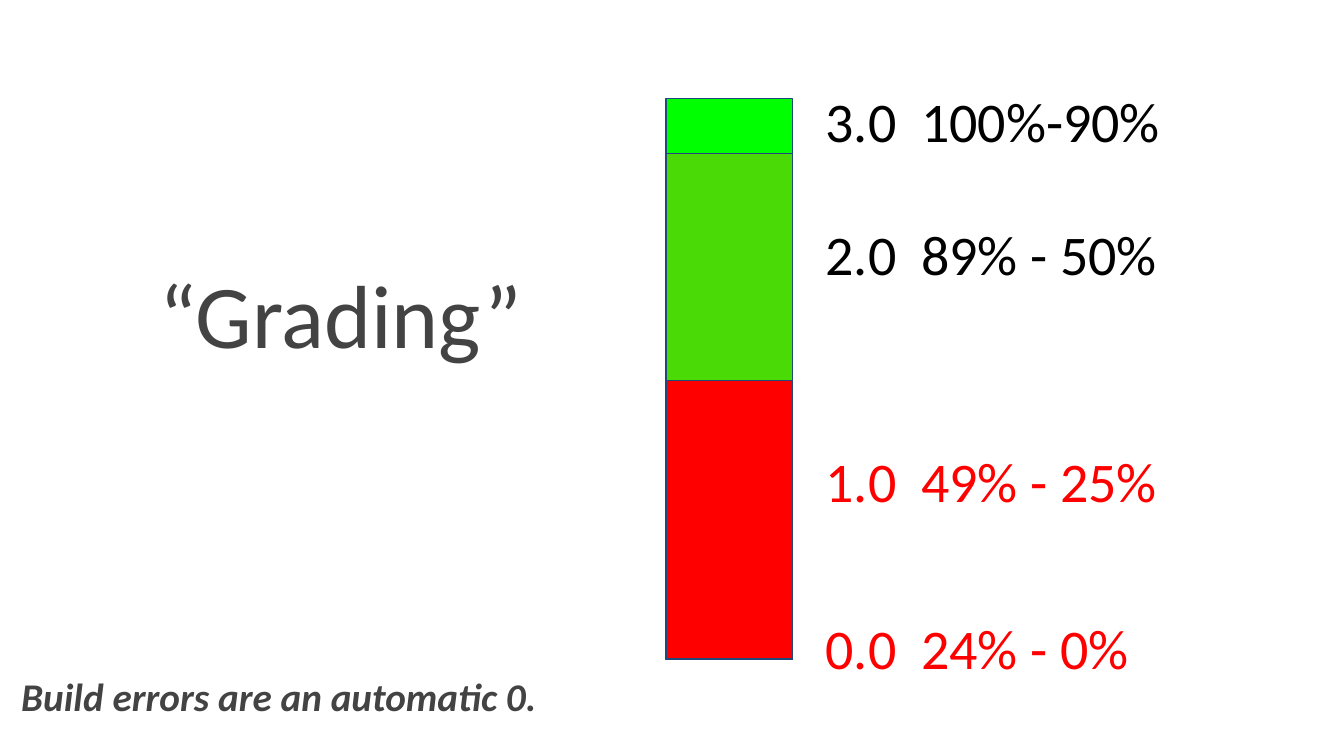
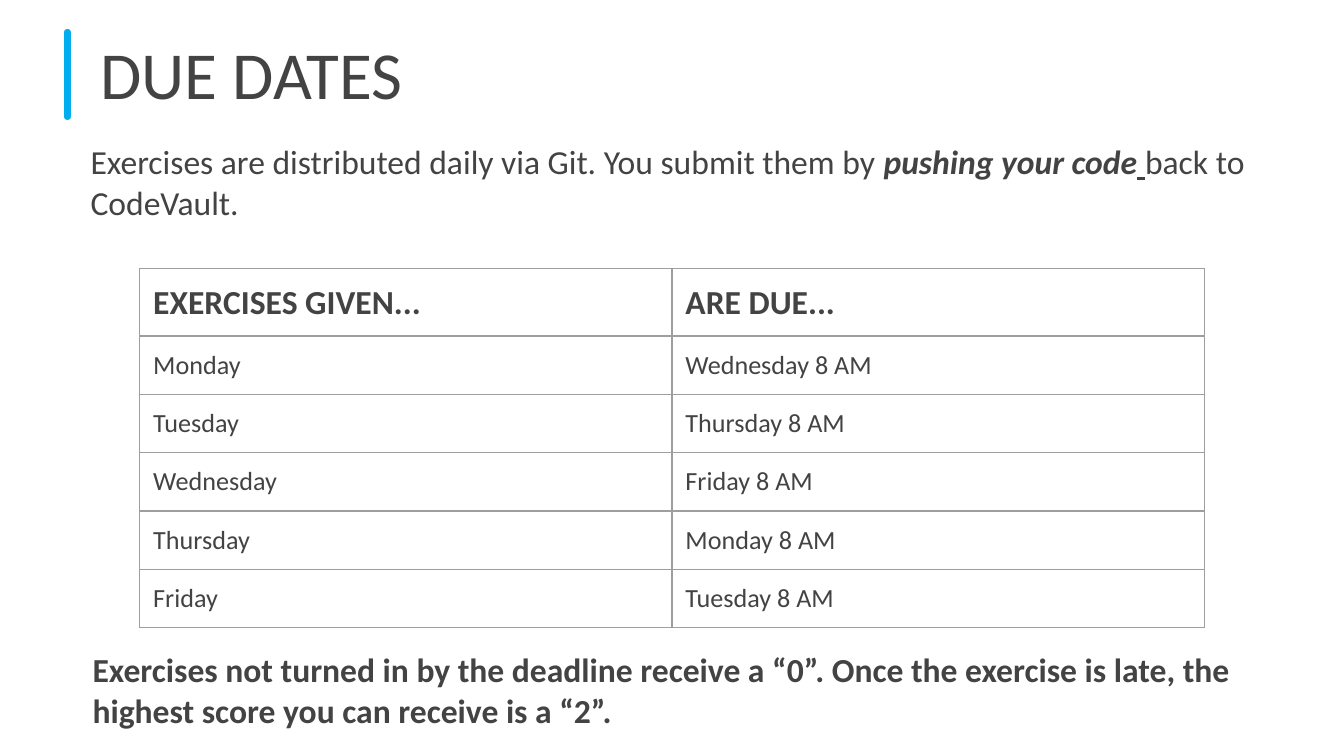
from lxml.etree import SubElement
from pptx import Presentation
from pptx.dml.color import RGBColor
from pptx.enum.shapes import MSO_SHAPE as SHAPE
from pptx.enum.text import MSO_ANCHOR as ANCHOR
from pptx.oxml import parse_xml
from pptx.oxml.ns import nsdecls, qn
from pptx.util import Emu, Pt

PX = 4572  # 200 px to the inch
SLIDE_SIZE = 2000, 1125
INSET = 20
GREY, BLACK, RED, CYAN = "434343", "000000", "FF0000", "00ADEE"
NAVY, BORDER = "1F497D", "9E9E9E"
BODY = {"name": "Calibri", "size": 18, "color": GREY}
STRONG = BODY | {"bold": True}
CELL = BODY | {"size": 14}
GRADE = BODY | {"size": 30}

# Slide 1: every band reaches down to the bottom of the bar
BAR_LEFT, BAR_WIDTH, BAR_BOTTOM = 991, 188, 981
BANDS = [(147, "00FF00"), (228, "4ADB07"), (566, RED)]
GRADES = [
    (109, 676, "3.0\t100%-90%", BLACK),
    (307, 546, "2.0\t89% - 50%", BLACK),
    (645, 700, "1.0\t49% - 25%", RED),
    (893, 676, "0.0\t24% - 0%", RED),
]
GRADE_LEFT, GRADE_HEIGHT, GRADE_TAB = 1209, 122, 142
HEADING = [("“Grading”", BODY | {"size": 48})]
BUILD_NOTE = [("Build errors are an automatic 0.",
               STRONG | {"size": 21, "italic": True})]

# Slide 2
TITLE = [("|", {"name": "Comfortaa", "size": 48, "color": CYAN}),
         (" DUE DATES", BODY | {"size": 36})]
INTRO = [
    ("Exercises are distributed daily via Git. You submit them by ", BODY),
    ("pushing your code", STRONG | {"italic": True}),
    (" ", BODY | {"italic": True, "underline": True}),
    ("back to CodeVault.", BODY),
]
LATE_NOTE = [("Exercises not turned in by the deadline receive a “0”. Once the "
              "exercise is late, the highest score you can receive is a “2”.",
              STRONG)]
DUE_DATES = [
    ("EXERCISES GIVEN...", "ARE DUE..."),
    ("Monday", "Wednesday 8 AM"),
    ("Tuesday", "Thursday 8 AM"),
    ("Wednesday", "Friday 8 AM"),
    ("Thursday", "Monday 8 AM"),
    ("Friday", "Tuesday 8 AM"),
]
COL_WIDTH, ROW_HEIGHT = 792, 84


def px(*lengths):
    return [Emu(n * PX) for n in lengths]


def rgb(color):
    return RGBColor.from_string(color)


def set_insets(target):
    for side in ("left", "top", "right", "bottom"):
        setattr(target, f"margin_{side}", Emu(INSET * PX))


def write(p, runs):
    for text, style in runs:
        r = p.add_run()
        r.text = text
        for key, value in style.items():
            if key == "color":
                r.font.color.rgb = rgb(value)
            else:
                setattr(r.font, key, Pt(value) if key == "size" else value)


def add_text(slide, box, runs, anchor=ANCHOR.TOP):
    tf = slide.shapes.add_textbox(*px(*box)).text_frame
    tf.word_wrap = True
    tf.vertical_anchor = anchor
    set_insets(tf)
    write(tf.paragraphs[0], runs)
    return tf.paragraphs[0]


def add_tab_stop(p, position):
    tabs = SubElement(p._p.get_or_add_pPr(), qn("a:tabLst"))
    SubElement(tabs, qn("a:tab"), pos=str(position * PX), algn="l")


def add_band(slide, top, color):
    s = slide.shapes.add_shape(
        SHAPE.RECTANGLE, *px(BAR_LEFT, top, BAR_WIDTH, BAR_BOTTOM - top))
    s.shadow.inherit = False
    s.fill.solid()
    s.fill.fore_color.rgb = rgb(color)
    s.line.color.rgb = rgb(NAVY)
    s.line.width = Pt(0.75)


def set_borders(cell):
    tc_pr = cell._tc.get_or_add_tcPr()
    for i, side in enumerate("LRTB"):
        tc_pr.insert(i, parse_xml(
            f'<a:ln{side} {nsdecls("a")} w="{Pt(0.75)}"><a:solidFill>'
            f'<a:srgbClr val="{BORDER}"/></a:solidFill></a:ln{side}>'))


def add_due_dates(slide, left, top):
    n_rows, n_cols = len(DUE_DATES), len(DUE_DATES[0])
    table = slide.shapes.add_table(
        n_rows, n_cols,
        *px(left, top, n_cols * COL_WIDTH, n_rows * ROW_HEIGHT)).table
    table.first_row = table.horz_banding = False
    for i, row in enumerate(DUE_DATES):
        for j, text in enumerate(row):
            cell = table.cell(i, j)
            set_insets(cell)
            cell.fill.background()
            set_borders(cell)
            write(cell.text_frame.paragraphs[0],
                  [(text, CELL if i else STRONG)])


def build_grading(slide):
    add_text(slide, (218, 366, 676, 288), HEADING)
    for top, color in BANDS:
        add_band(slide, top, color)
    for top, width, text, color in GRADES:
        p = add_text(slide, (GRADE_LEFT, top, width, GRADE_HEIGHT),
                     [(text, GRADE | {"color": color})])
        add_tab_stop(p, GRADE_TAB)
    add_text(slide, (12, 981, 1088, 98), BUILD_NOTE)


def build_due_dates(slide):
    add_text(slide, (55, 14, 1878, 162), TITLE, ANCHOR.MIDDLE)
    add_due_dates(slide, 208, 400)
    add_text(slide, (115, 190, 1764, 162), INTRO)
    add_text(slide, (118, 946, 1764, 162), LATE_NOTE)


def main():
    prs = Presentation()
    prs.slide_width, prs.slide_height = px(*SLIDE_SIZE)
    for build in (build_grading, build_due_dates):
        build(prs.slides.add_slide(prs.slide_layouts[6]))
    prs.save("out.pptx")


if __name__ == "__main__":
    main()
